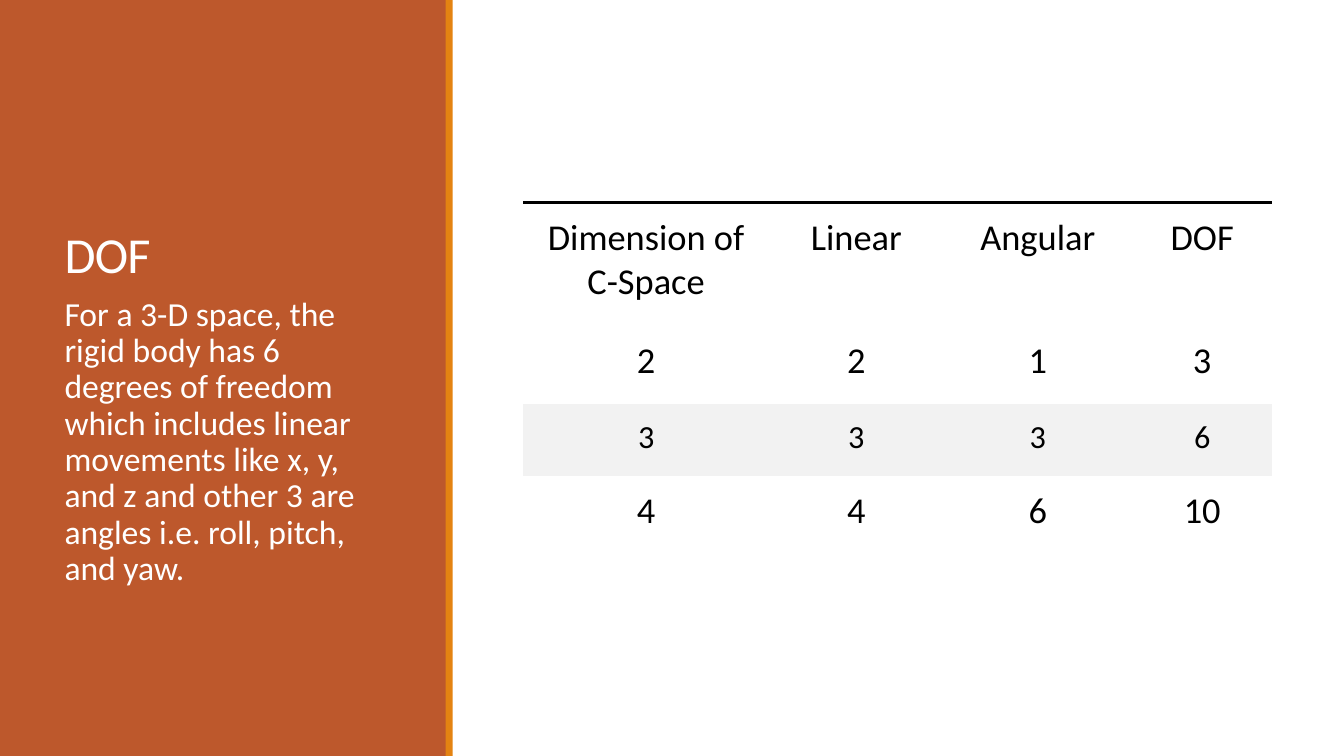
from dataclasses import dataclass
from lxml import etree
from pptx import Presentation, util as u
from pptx.dml.color import RGBColor
from pptx.enum import shapes, text
from pptx.oxml import ns, parse_xml

FONT = "Calibri"
RUST, AMBER, PALE = "BD582C", "E48312", "F2F2F2"
BLACK, WHITE = "000000", "FFFFFF"
PLAIN_STYLE = "{2D5ABB26-0587-4C30-8999-92F81FD0307C}"
WIDTH, HEIGHT = u.Inches(13.33), u.Inches(7.5)


@dataclass
class Box:
    """A place on the slide, in percent of its width and height."""
    left: float
    top: float
    width: float
    height: float


@dataclass
class Band:
    box: Box
    fill: str


@dataclass
class Row:
    height: float
    cells: tuple[str, ...]
    size: int = 26
    fill: str = ""
    rule: bool = False


BANDS = [
    Band(Box(0, 0, 33.23, 100), RUST),
    Band(Box(33.16, 0, 0.53, 100), AMBER),
]
TITLE = Box(4.05, 7.6, 25.28, 30.67)
BODY = Box(4.05, 38.67, 25.28, 48.67)
NOTE = ("For a 3-D space, the rigid body has 6 degrees of freedom which "
        "includes linear movements like x, y, and z and other 3 are angles "
        "i.e. roll, pitch, and yaw.")
COLS = (18.3, 12.98, 14.03, 10.43)
ROWS = [
    Row(16.27, ("Dimension of C-Space", "Linear", "Angular", "DOF"), rule=True),
    Row(10.4, ("2", "2", "1", "3")),
    Row(9.47, ("3", "3", "3", "6"), size=23, fill=PALE),
    Row(10.4, ("4", "4", "6", "10")),
]
GRID = Box(38.93, 26.8, sum(COLS), sum(row.height for row in ROWS))


def across(share: float) -> int:
    return round(WIDTH * share / 100)


def down(share: float) -> int:
    return round(HEIGHT * share / 100)


def place(box: Box) -> tuple[int, int, int, int]:
    return across(box.left), down(box.top), across(box.width), down(box.height)


def paint(target, tone: str) -> None:
    """Give a fill or a font a solid colour."""
    if hasattr(target, "solid"):
        target.solid()
        target = target.fore_color
    else:
        target = target.color
    target.rgb = RGBColor.from_string(tone)


def style(para, size: int, tone: str, align) -> None:
    para.alignment = align
    para.font.name, para.font.size = FONT, u.Pt(size)
    paint(para.font, tone)


def add_band(slide, band: Band) -> None:
    """Draw a band behind the title and the body."""
    bar = slide.shapes.add_shape(shapes.MSO_SHAPE.RECTANGLE, *place(band.box))
    bar.shadow.inherit = False
    paint(bar.fill, band.fill)
    bar.line.fill.background()
    slide.shapes.title.element.addprevious(bar.element)


def fill_holder(holder, box: Box, words: str, size: int, space: float, anchor):
    holder.left, holder.top, holder.width, holder.height = place(box)
    frame = holder.text_frame
    frame.text = words
    frame.word_wrap = True
    frame.auto_size = text.MSO_AUTO_SIZE.NONE
    frame.vertical_anchor = anchor
    para = frame.paragraphs[0]
    para.line_spacing = space
    para.space_before = u.Pt(0)
    return frame, para


def add_title(slide) -> None:
    _, para = fill_holder(slide.shapes.title, TITLE, "DOF", 36, 0.85,
                          text.MSO_ANCHOR.BOTTOM)
    para.runs[0]._r.get_or_add_rPr().set("spc", "-50")
    style(para, 36, WHITE, text.PP_ALIGN.LEFT)


def add_body(slide) -> None:
    frame, para = fill_holder(slide.placeholders[1], BODY, NOTE, 24, 0.9,
                              text.MSO_ANCHOR.TOP)
    frame.margin_left = frame.margin_right = 0
    para.space_after = u.Pt(2)
    props = para._p.get_or_add_pPr()
    props.set("marL", str(u.Inches(0.1)))
    props.set("indent", "0")
    etree.SubElement(props, ns.qn("a:buNone"))
    style(para, 24, WHITE, text.PP_ALIGN.LEFT)


def add_rule(cell) -> None:
    """Draw the black line along the top of a cell."""
    line = parse_xml(
        f'<a:lnT {ns.nsdecls("a")} w="{u.Pt(2.25)}"><a:solidFill>'
        f'<a:srgbClr val="{BLACK}"/></a:solidFill></a:lnT>')
    cell._tc.get_or_add_tcPr().insert(0, line)


def fill_cell(cell, words: str, row: Row) -> None:
    cell.text = words
    cell.margin_left = cell.margin_right = u.Inches(0.19)
    cell.margin_top = cell.margin_bottom = u.Inches(0.13)
    style(cell.text_frame.paragraphs[0], row.size, BLACK,
          text.PP_ALIGN.CENTER)
    if row.fill:
        paint(cell.fill, row.fill)
    else:
        cell.fill.background()
    if row.rule:
        add_rule(cell)


def add_grid(slide) -> None:
    frame = slide.shapes.add_table(len(ROWS), len(COLS), *place(GRID))
    table = frame.table
    table.first_row = table.horz_banding = False
    for mark in frame.element.iter(ns.qn("a:tableStyleId")):
        mark.text = PLAIN_STYLE
    for col, width in zip(table.columns, COLS):
        col.width = across(width)
    for line, row in zip(table.rows, ROWS):
        line.height = down(row.height)
        for cell, words in zip(line.cells, row.cells):
            fill_cell(cell, words, row)


def main() -> None:
    deck = Presentation()
    deck.slide_width, deck.slide_height = WIDTH, HEIGHT
    slide = deck.slides.add_slide(deck.slide_layouts[1])
    paint(slide.background.fill, WHITE)
    for band in BANDS:
        add_band(slide, band)
    add_title(slide)
    add_body(slide)
    add_grid(slide)
    deck.save("out.pptx")


if __name__ == "__main__":
    main()
